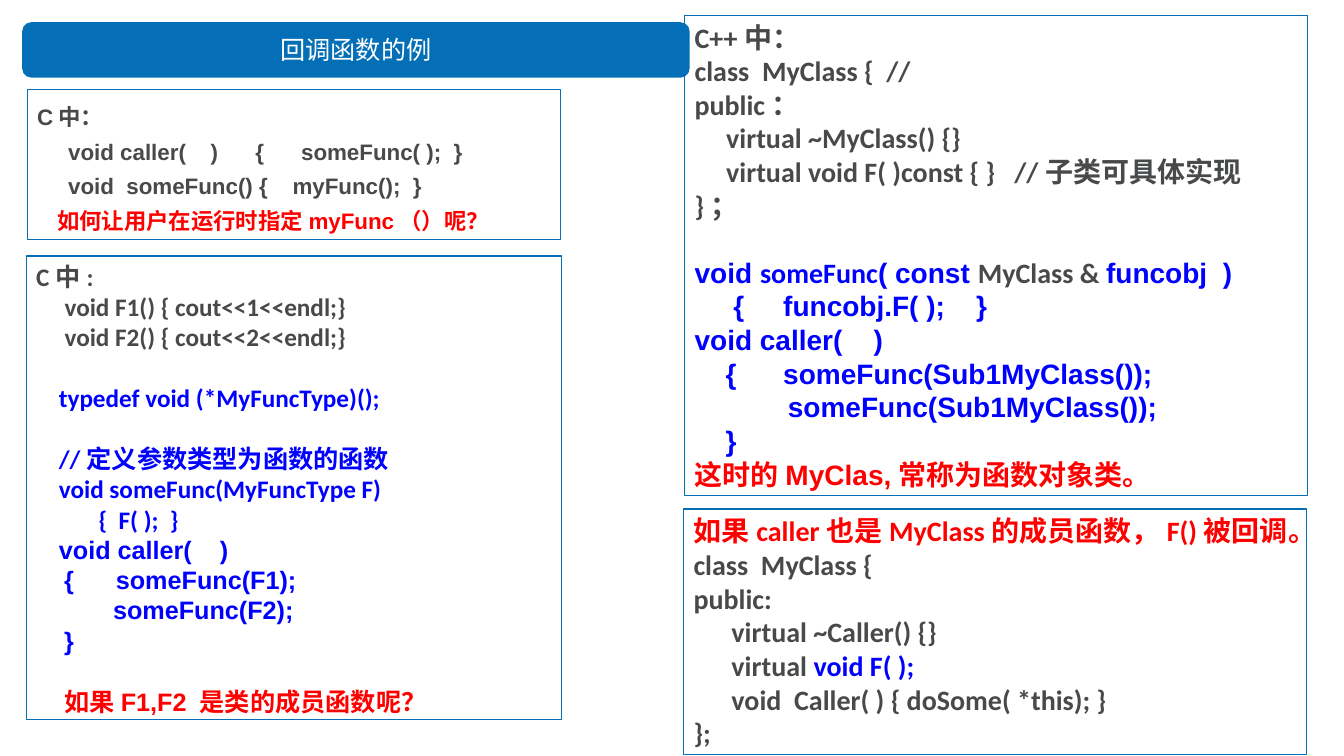
from dataclasses import dataclass

from pptx import Presentation
from pptx.dml.color import RGBColor
from pptx.enum.shapes import MSO_SHAPE
from pptx.enum.text import MSO_ANCHOR, PP_ALIGN
from pptx.util import Inches, Pt

ACCENT, GRAY, BLUE, RED, WHITE = "046FB6", "47494B", "0000FF", "FF0000", "FFFFFF"
SANS, BODY = "Arial", "Calibri"


@dataclass
class Line:
    """One line of a box: text or a list of (text, colour, font) runs."""
    text: object
    color: str = GRAY
    font: str = BODY
    gap: float = 0
    indent: float = 0


CALLER_QUESTION = [
    Line("C中：", font=SANS),
    Line("     void caller(    )      {      someFunc( );  }", font=SANS),
    Line("     void  someFunc() {    myFunc();  }", font=SANS),
    Line("如何让用户在运行时指定myFunc（）呢？", RED, SANS, indent=0.2),
]
FUNCTION_POINTER = [
    Line("C中:"),
    Line("     void F1() { cout<<1<<endl;}"),
    Line("     void F2() { cout<<2<<endl;}"),
    Line("    typedef void (*MyFuncType)();", BLUE, gap=22),
    Line("    //定义参数类型为函数的函数", BLUE, gap=22),
    Line("    void someFunc(MyFuncType F)", BLUE),
    Line("           {  F( );  }", BLUE),
    Line([("    ", BLUE, BODY), ("void caller(    )", BLUE, SANS)], BLUE),
    Line("    {      someFunc(F1);", BLUE, SANS),
    Line("           someFunc(F2);", BLUE, SANS),
    Line("    }", BLUE, SANS),
    Line("如果F1,F2 是类的成员函数呢？", RED, SANS, gap=22, indent=0.28),
]
FUNCTION_OBJECT = [
    Line("C++中："),
    Line("class  MyClass {  //"),
    Line("public："),
    Line("     virtual ~MyClass() {}"),
    Line("     virtual void F( )const { }   //子类可具体实现"),
    Line("}；"),
    Line([("void ", BLUE, SANS), ("someFunc", BLUE, BODY), ("( const ", BLUE, SANS),
          ("MyClass & ", GRAY, BODY), ("funcobj  )", BLUE, SANS)], BLUE, SANS, gap=24),
    Line("     {     funcobj.F( );    }", BLUE, SANS),
    Line("void caller(    )", BLUE, SANS),
    Line("    {      someFunc(Sub1MyClass());", BLUE, SANS),
    Line("            someFunc(Sub1MyClass());", BLUE, SANS),
    Line("    }", BLUE, SANS),
    Line("这时的MyClas,常称为函数对象类。", RED, SANS),
]
MEMBER_CALLER = [
    Line("如果caller也是MyClass的成员函数，F()被回调。", RED),
    Line("class  MyClass {"),
    Line("public:"),
    Line("      virtual ~Caller() {}"),
    Line([("      virtual ", GRAY, BODY), ("void F( );", BLUE, BODY)]),
    Line("      void  Caller( ) { doSome( *this); }"),
    Line("};"),
]


def rgb(value):
    """Turn a hex string into a colour."""
    return RGBColor.from_string(value)


def style_font(font, color, name):
    """Set the colour and typeface of a font."""
    font.color.rgb = rgb(color)
    font.name = name


def add_title(slide, left, top, width, height):
    """Set the title over a rounded band in the given box."""
    box = [Inches(length) for length in (left, top, width, height)]
    band = slide.shapes.add_shape(MSO_SHAPE.ROUNDED_RECTANGLE, *box)
    band.shadow.inherit = False
    band.fill.solid()
    band.fill.fore_color.rgb = rgb(ACCENT)
    band.line.fill.background()
    title = slide.shapes.title
    title._element.addprevious(band._element)
    title.left, title.top, title.width, title.height = box
    title.text_frame.text = "回调函数的例"
    title.text_frame.vertical_anchor = MSO_ANCHOR.MIDDLE
    paragraph = title.text_frame.paragraphs[0]
    paragraph.alignment = PP_ALIGN.CENTER
    paragraph.font.size = Pt(18)
    style_font(paragraph.font, WHITE, SANS)


def fill_paragraph(paragraph, line, size, spacing):
    """Write one line into a paragraph and format it."""
    if line.indent:
        paragraph._p.get_or_add_pPr().set("marL", str(Inches(line.indent)))
    paragraph.alignment = PP_ALIGN.LEFT
    paragraph.line_spacing = spacing
    paragraph.space_before = Pt(line.gap)
    paragraph.font.size = Pt(size)
    paragraph.font.bold = True
    style_font(paragraph.font, line.color, line.font)
    if isinstance(line.text, str):
        paragraph.add_run().text = line.text
        return
    for text, color, name in line.text:
        run = paragraph.add_run()
        run.text = text
        style_font(run.font, color, name)


def add_code_box(slide, left, top, width, height, lines, size, spacing=1.0):
    """Add an outlined box holding lines of code and remarks."""
    shape = slide.shapes.add_shape(
        MSO_SHAPE.RECTANGLE, Inches(left), Inches(top), Inches(width), Inches(height))
    shape.shadow.inherit = False
    shape.fill.background()
    shape.line.color.rgb = rgb(ACCENT)
    shape.line.width = Pt(0.75)
    frame = shape.text_frame
    frame.word_wrap = True
    frame.vertical_anchor = MSO_ANCHOR.TOP
    for index, line in enumerate(lines):
        paragraph = frame.add_paragraph() if index else frame.paragraphs[0]
        fill_paragraph(paragraph, line, size, spacing)


def main():
    """Build the slide and save it."""
    presentation = Presentation()
    presentation.slide_width = Inches(13.33)
    presentation.slide_height = Inches(7.5)
    slide = presentation.slides.add_slide(presentation.slide_layouts[5])
    add_title(slide, 0.22, 0.22, 6.62, 0.55)
    add_code_box(slide, 0.27, 0.89, 5.29, 1.49, CALLER_QUESTION, 16, 1.3)
    add_code_box(slide, 0.26, 2.54, 5.31, 4.6, FUNCTION_POINTER, 18)
    add_code_box(slide, 6.79, 0.15, 6.18, 4.77, FUNCTION_OBJECT, 20)
    add_code_box(slide, 6.78, 5.05, 6.18, 2.44, MEMBER_CALLER, 20)
    presentation.save("out.pptx")


if __name__ == "__main__":
    main()
